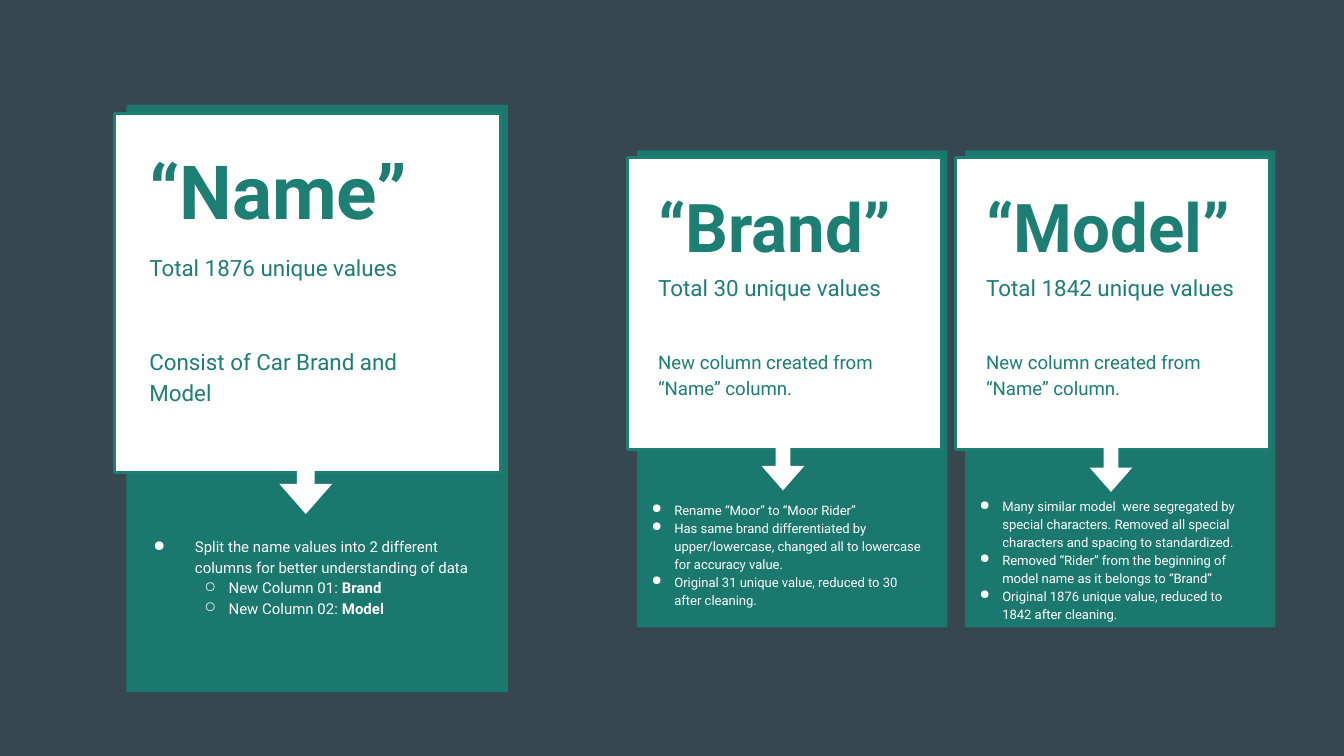
from dataclasses import dataclass

from lxml import etree
from pptx import Presentation
from pptx.dml.color import RGBColor
from pptx.enum import shapes
from pptx.oxml import ns
from pptx.util import Pt


@dataclass(frozen=True)
class Theme:
    """Colours, font and type sizes shared by the cards."""
    background: str = "37474F"
    panel: str = "1B786E"
    accent: str = "1D7E74"
    white: str = "FFFFFF"
    font: str = "Roboto"
    total_size: float = 12
    line_spacing: float = 1.15
    outline: float = 1.5


@dataclass(frozen=True)
class CardStyle:
    """Type sizes, and (margin, indent) of each bullet level."""
    heading_size: float
    summary_size: float
    bullet_size: float
    levels: tuple


THEME = Theme()
LARGE = CardStyle(40, 12, 8, ((36, -22.3), (54, -13)))
SMALL = CardStyle(36, 10, 7, ((18, -12.2),))
BULLETS = "●○"
CARD_WIDTH, CARD_HEIGHT = 204.5, 314.6
SMALL_LEFT, SMALL_TOP, SMALL_STEP = 341.3, 80.6, 175.7
SMALL_WIDTH, SMALL_HEIGHT = 166.3, 255.6


def colour(value):
    """Turn a hex string into a colour."""
    return RGBColor.from_string(value)


def add_block(group, kind, box, fill, line=None):
    """Add a filled shape, outlined if a line colour is given."""
    shape = group.shapes.add_shape(kind, *map(Pt, box))
    shape.shadow.inherit = False
    shape.fill.solid()
    shape.fill.fore_color.rgb = colour(fill)
    if line:
        shape.line.color.rgb = colour(line)
        shape.line.width = Pt(THEME.outline)
    else:
        shape.line.fill.background()
    return shape


def add_frame(group, box):
    """Add an empty wrapping text box and return its text frame."""
    frame = group.shapes.add_textbox(*map(Pt, box)).text_frame
    frame.word_wrap = True
    frame.margin_left = frame.margin_right = Pt(7.2)
    frame.margin_top = frame.margin_bottom = Pt(7.2)
    return frame


def format_paragraph(paragraph, size, ink, spacing=None):
    """Set the font and line spacing of a paragraph."""
    paragraph.font.name = THEME.font
    paragraph.font.size = Pt(size)
    paragraph.font.color.rgb = colour(ink)
    paragraph.line_spacing = spacing


def add_label(group, box, words, size, bold=False, spacing=None):
    """Add one paragraph of accent-coloured text."""
    paragraph = add_frame(group, box).paragraphs[0]
    paragraph.text = words
    format_paragraph(paragraph, size, THEME.accent, spacing)
    paragraph.font.bold = bold


def set_bullet(paragraph, level, margin, indent):
    """Give a paragraph its level, hanging indent and bullet."""
    paragraph.level = level
    properties = paragraph._p.get_or_add_pPr()
    properties.set("marL", str(Pt(margin)))
    properties.set("indent", str(Pt(indent)))
    bullet_colour = etree.Element(ns.qn("a:buClr"))
    etree.SubElement(bullet_colour, ns.qn("a:srgbClr"), val=THEME.white)
    bullet = etree.Element(ns.qn("a:buChar"), char=BULLETS[level])
    default_run = properties.find(ns.qn("a:defRPr"))
    default_run.addprevious(bullet_colour)
    default_run.addprevious(bullet)


def add_bullets(group, box, items, style):
    """Add bullets given as (level, words, bold ending)."""
    frame = add_frame(group, box)
    for index, (level, words, ending) in enumerate(items):
        paragraph = frame.add_paragraph() if index else frame.paragraphs[0]
        paragraph.add_run().text = words
        if ending:
            run = paragraph.add_run()
            run.text = ending
            run.font.bold = True
        format_paragraph(paragraph, style.bullet_size, THEME.white, THEME.line_spacing)
        set_bullet(paragraph, level, *style.levels[level])


def add_card(slide, box, style, heading, total, summary, items, arrow_top, list_top):
    """Place one column card, its parts scaled to the panel box."""
    left, top, width, height = box
    across, down = width / CARD_WIDTH, height / CARD_HEIGHT
    group = slide.shapes.add_group_shape()

    def place(x, y, w, h):
        """Map a box in card units onto the slide."""
        return left + x * across, top + y * down, w * across, h * down

    rectangle = shapes.MSO_SHAPE.RECTANGLE
    add_block(group, rectangle, box, THEME.panel)
    add_block(group, rectangle, place(-6.3, 4.8, 206.6, 192.2), THEME.white, THEME.accent)
    add_label(group, place(5.2, 72.7, 183, 46.8), total, THEME.total_size)
    add_label(group, place(5.2, 121, 183, 64), summary, style.summary_size,
              spacing=THEME.line_spacing)
    add_label(group, place(5.2, 14.4, 183, 52), heading, style.heading_size, bold=True)
    arrow = add_block(group, shapes.MSO_SHAPE.RIGHT_ARROW,
                      place(81, arrow_top, 30.2, 28.2), THEME.white)
    arrow.rotation = 90
    arrow.adjustments[0] = 0.34
    arrow.adjustments[1] = 0.57
    add_bullets(group, place(-6.3, list_top, CARD_WIDTH, 84), items, style)


def main():
    """Build the slide and save it."""
    presentation = Presentation()
    presentation.slide_width, presentation.slide_height = Pt(720), Pt(405)
    slide = presentation.slides.add_slide(presentation.slide_layouts[6])
    slide.background.fill.solid()
    slide.background.fill.fore_color.rgb = colour(THEME.background)

    add_card(slide, (67.7, 56.2, CARD_WIDTH, CARD_HEIGHT), LARGE, "“Name”",
             "Total 1876 unique values", "Consist of Car Brand and Model", [
                 (0, "Split the name values into 2 different columns "
                     "for better understanding of data", ""),
                 (1, "New Column 01: ", "Brand"),
                 (1, "New Column 02: ", "Model"),
             ], arrow_top=190, list_top=223.2)

    small_cards = [
        ("“Brand”", 30, [
            "Rename “Moor” to “Moor Rider”",
            "Has same brand differentiated by upper/lowercase, "
            "changed all to lowercase for accuracy value.",
            "Original 31 unique value, reduced to 30 after cleaning.",
        ], 195, 221.5),
        ("“Model”", 1842, [
            "Many similar model  were segregated by special characters. "
            "Removed all special characters and spacing to standardized.",
            "Removed “Rider” from the beginning of model name "
            "as it belongs to “Brand”",
            "Original 1876 unique value, reduced to 1842 after cleaning.",
        ], 196, 218.9),
    ]
    for index, (heading, count, lines, arrow_top, list_top) in enumerate(small_cards):
        box = (SMALL_LEFT + index * SMALL_STEP, SMALL_TOP, SMALL_WIDTH, SMALL_HEIGHT)
        add_card(slide, box, SMALL, heading, f"Total {count} unique values",
                 "New column created from “Name” column.",
                 [(0, line, "") for line in lines], arrow_top, list_top)

    presentation.save("out.pptx")


if __name__ == "__main__":
    main()
